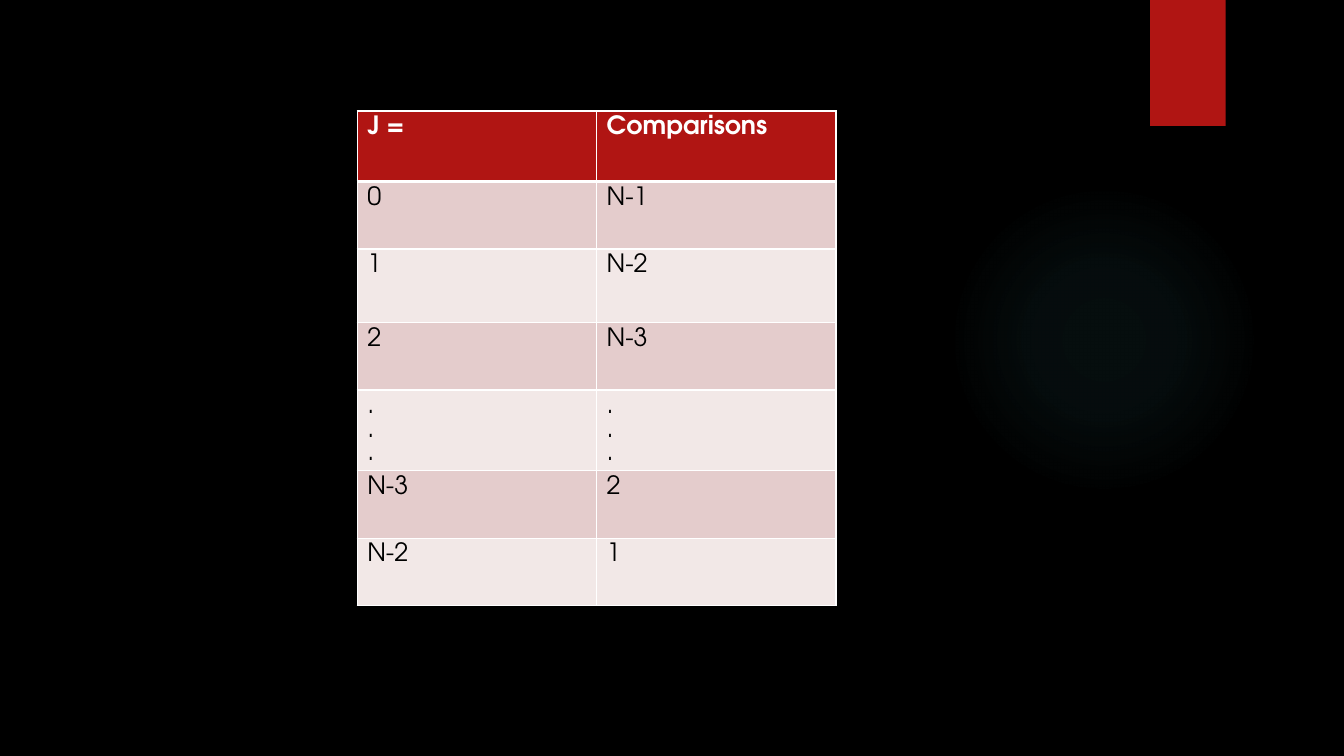
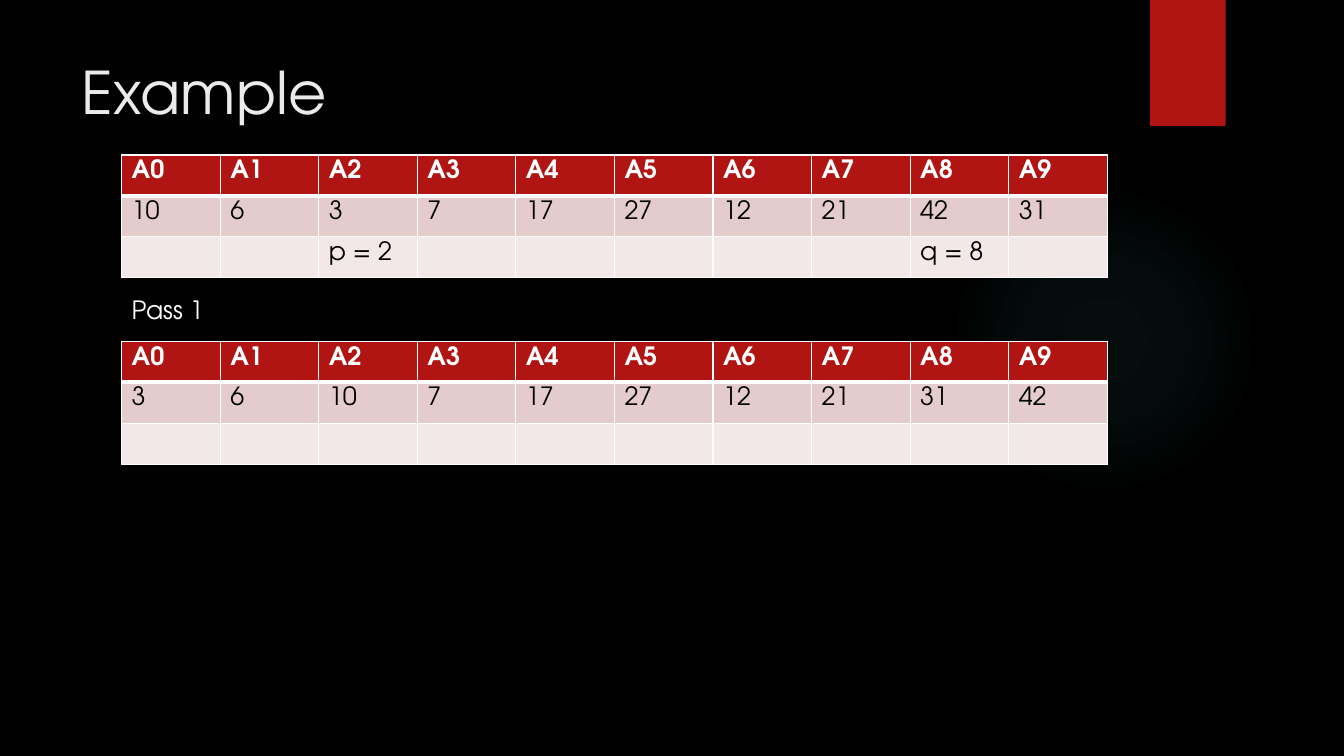
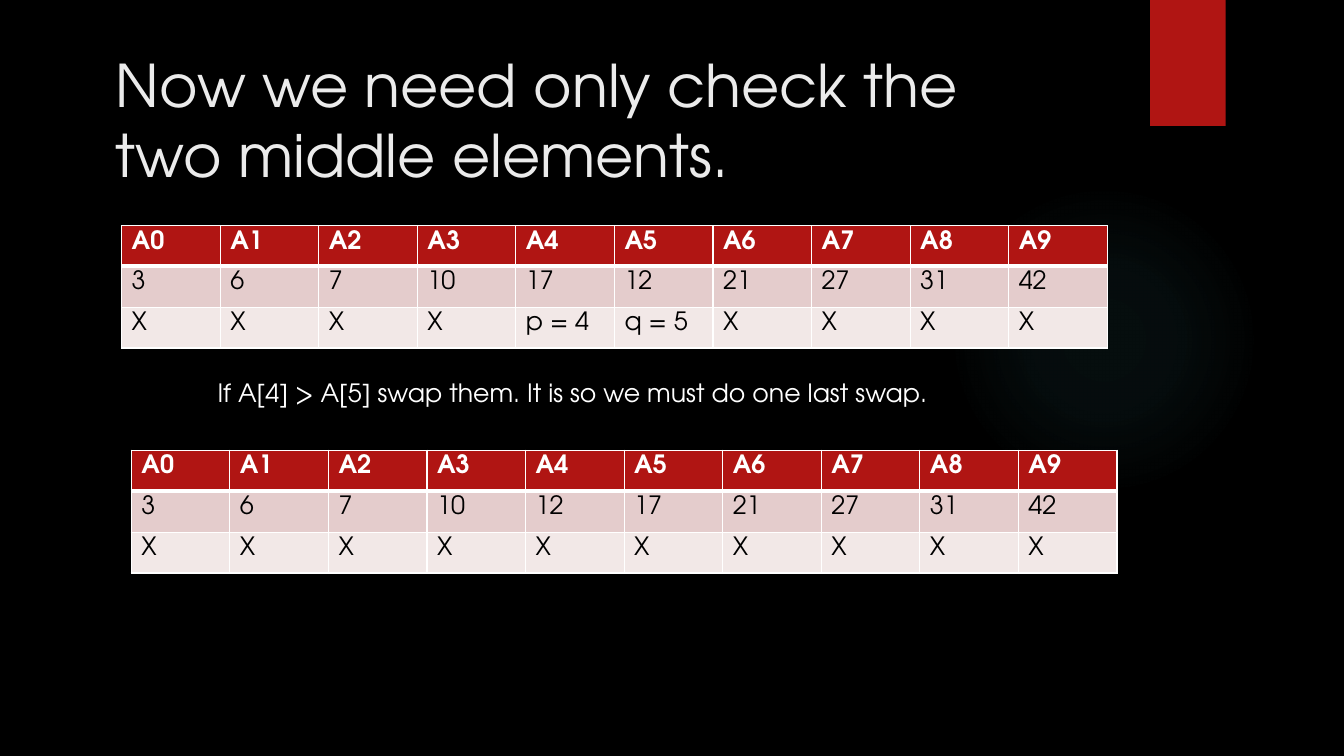
from pptx import Presentation
from pptx.dml.color import RGBColor as RGB
from pptx.enum.shapes import MSO_SHAPE as Form
from pptx.oxml import parse_xml
from pptx.oxml.ns import nsdecls
from pptx.util import Inches, Pt

# Shared look
RED, WHITE, BLACK, GLOW = "B01513", "FFFFFF", "000000", "50B9C1"
BANDS = "E4CCCC", "F2E8E7"
FACE = "TeX Gyre Adventor"
LOOKS = {
    "title": ({"name": FACE, "size": Pt(42)}, "EBEBEB"),
    "note": ({"name": FACE, "size": Pt(18)}, WHITE),
    "head": ({"name": FACE, "size": Pt(18), "bold": True}, WHITE),
    "cell": ({"name": FACE, "size": Pt(18), "bold": False}, BLACK),
}
PLAIN = {"first_row": False, "horz_banding": False}

# Boxes are left, top, width, height in hundredths of the slide
deck = Presentation()
deck.slide_width, deck.slide_height = Inches(13.33), Inches(7.5)
COL, ROW = deck.slide_width / 100, deck.slide_height / 100


def hue(code):
    return RGB.from_string(code)


def write(frame, text, look):
    style, tint = LOOKS[look]
    frame.text = text
    for para in frame.paragraphs:
        for run in para.runs:
            for key, val in style.items():
                setattr(run.font, key, val)
            run.font.color.rgb = hue(tint)


# Content: kind, box, body and, for tables, row heights
DECOR = [
    ("glow", (70.58, 24.4, 23.1, 41.07), None, None),
    ("flag", (85.58, 0, 5.62, 16.67), None, None),
]
HEAD = [f"A{n}" for n in range(10)]
EMPTY = [""] * 10
DONE = ["X"] * 10
EVEN = [5.42] * 3
WIDE = 73.35
DOTS = ".\n.\n."

PAGES = [
    [
        ("table", (26.58, 14.67, 35.63, 65.45),
         [["J =", "Comparisons"], ["0", "N-1"], ["1", "N-2"], ["2", "N-3"],
          [DOTS, DOTS], ["N-3", "2"], ["N-2", "1"]],
         [9.33, 8.93, 9.73, 8.93, 10.67, 8.93, 8.93]),
    ],
    [
        ("title", (5.33, 6.67, 77.18, 20.4), "Example", None),
        ("table", (9.05, 20.5, WIDE, 16.26),
         [HEAD, "10 6 3 7 17 27 12 21 42 31".split(),
          ["", "", "p = 2", *EMPTY[:5], "q = 8", ""]], EVEN),
        ("table", (9.05, 45.15, WIDE, 16.26),
         [HEAD, "3 6 10 7 17 27 12 21 31 42".split(), EMPTY], EVEN),
        ("note", (9.05, 38.27, 16.05, 5.33), "Pass 1", None),
    ],
    [
        ("title", (7.88, 5.73, 77.18, 14),
         "Now we need only check the\vtwo middle elements.", None),
        ("table", (9.05, 29.87, WIDE, 15.34),
         [HEAD, "3 6 7 10 17 12 21 27 31 42".split(),
          [*DONE[:4], "p = 4", "q = 5", *DONE[:4]]], [4.5, 5.42, 5.42]),
        ("note", (15.45, 49.2, 64.73, 5.33),
         "If A[4] > A[5] swap them. It is so we must do one last swap.", None),
        ("table", (9.77, 59.55, WIDE, 16.26),
         [HEAD, "3 6 7 10 12 17 21 27 31 42".split(), DONE], EVEN),
    ],
]

for page in PAGES:
    slide = deck.slides.add_slide(deck.slide_layouts[6])
    slide.background.fill.solid()
    slide.background.fill.fore_color.rgb = hue(BLACK)
    for kind, box, body, rows in DECOR + page:
        spot = [int(n * unit) for n, unit in zip(box, (COL, ROW) * 2)]

        # Corner flag and soft round glow
        if kind in ("flag", "glow"):
            form = Form.OVAL if kind == "glow" else Form.RECTANGLE
            shape = slide.shapes.add_shape(form, *spot)
            shape.shadow.inherit = False
            shape.line.fill.background()
            if kind == "flag":
                shape.fill.solid()
                shape.fill.fore_color.rgb = hue(RED)
                continue
            stops = "".join(
                f'<a:gs pos="{pos}000"><a:srgbClr val="{GLOW}">'
                f'<a:alpha val="{alpha}000"/></a:srgbClr></a:gs>'
                for pos, alpha in ((0, 7), (36, 6), (69, 0)))
            fade = parse_xml(
                f'<a:gradFill {nsdecls("a")}><a:gsLst>{stops}</a:gsLst>'
                '<a:path path="circle"><a:fillToRect l="50000" t="50000" '
                'r="50000" b="50000"/></a:path></a:gradFill>')
            shape.element.spPr.insert(2, fade)

        # Title or note
        elif kind in LOOKS:
            frame = slide.shapes.add_textbox(*spot).text_frame
            frame.word_wrap = True
            write(frame, body, kind)

        # Table with a red head and two band colours
        else:
            grid = slide.shapes.add_table(len(body), len(body[0]), *spot).table
            for key, val in PLAIN.items():
                setattr(grid, key, val)
            for r, line in enumerate(body):
                grid.rows[r].height = int(rows[r] * ROW)
                for c, text in enumerate(line):
                    cell = grid.cell(r, c)
                    props = cell._tc.get_or_add_tcPr()
                    for side in "LRTB":
                        thick = (r, side) in ((0, "B"), (1, "T"))
                        props.append(parse_xml(
                            f'<a:ln{side} {nsdecls("a")} w="{Pt(3 if thick else 1)}">'
                            f'<a:solidFill><a:srgbClr val="{WHITE}"/></a:solidFill>'
                            f'</a:ln{side}>'))
                    cell.fill.solid()
                    cell.fill.fore_color.rgb = hue(BANDS[(r - 1) % 2] if r else RED)
                    write(cell.text_frame, text, "cell" if r else "head")

deck.save("out.pptx")
